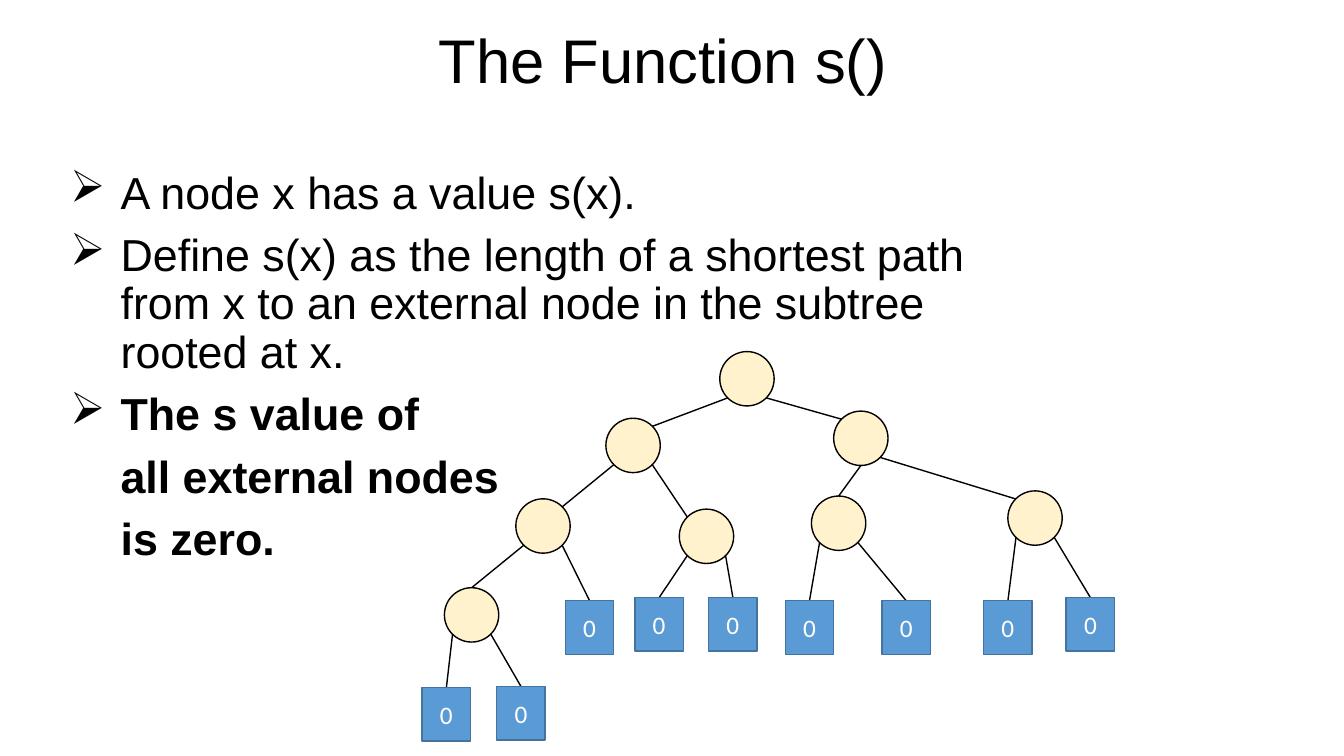
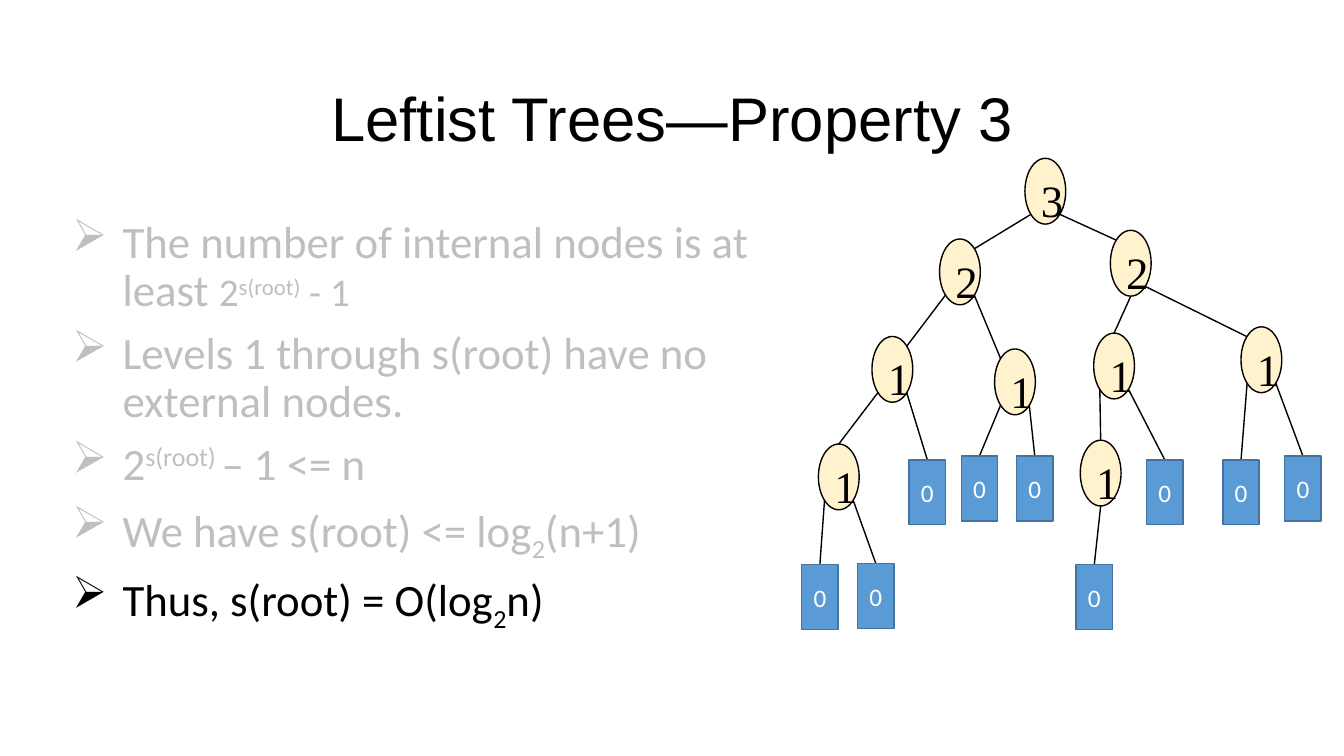
from dataclasses import dataclass

from lxml import etree
from pptx import Presentation
from pptx.dml.color import RGBColor
from pptx.enum.shapes import MSO_CONNECTOR, MSO_SHAPE
from pptx.enum.text import MSO_ANCHOR, PP_ALIGN
from pptx.oxml.ns import qn
from pptx.util import Cm, Pt

BLACK = RGBColor(0x00, 0x00, 0x00)
WHITE = RGBColor(0xFF, 0xFF, 0xFF)
GRAY = RGBColor(0xBF, 0xBF, 0xBF)
CREAM = RGBColor(0xFF, 0xF2, 0xCC)
BLUE = RGBColor(0x5B, 0x9B, 0xD5)
NAVY = RGBColor(0x43, 0x73, 0x9E)

OVAL, RECT = MSO_SHAPE.OVAL, MSO_SHAPE.RECTANGLE
STRAIGHT = MSO_CONNECTOR.STRAIGHT
TOP, MIDDLE = MSO_ANCHOR.TOP, MSO_ANCHOR.MIDDLE
LEFT, CENTER = PP_ALIGN.LEFT, PP_ALIGN.CENTER

INDENT = Cm(1.27)
SUP, SUB = 30, -25
BALL = (1.37, 1.37)
BOX = (1.22, 1.35)
DIAG = 0.35  # reach of a 45 degree point, as a share of the width


@dataclass
class Node:
    """A tree node; x and y are cm from the root, before scaling."""
    x: float
    y: float
    kids: tuple = ()
    low: bool = False  # edge leaves the parent at its bottom centre
    top: bool = False  # edge enters this node at its top centre

    @property
    def size(self):
        return BALL if self.kids else BOX

    @property
    def mid(self):
        return self.x + self.size[0] / 2

    @property
    def value(self):
        """Length of a shortest path to an external node."""
        return 1 + min(kid.value for kid in self.kids) if self.kids else 0


@dataclass
class View:
    """Where the root stands and how far the tree is stretched."""
    left: float
    top: float
    wide: float = 1
    high: float = 1

    def spot(self, x, y):
        return Cm(self.left + x * self.wide), Cm(self.top + y * self.high)

    def span(self, size):
        return Cm(size[0] * self.wide), Cm(size[1] * self.high)


def make_tree(inner):
    """Build the tree; inner is the left child of the third level-3 node."""
    deep = Node(-6.94, 5.95, (Node(-7.5, 8.46), Node(-5.62, 8.44)), top=True)
    left = Node(-2.87, 1.68, (
        Node(-5.14, 3.71, (deep, Node(-3.89, 6.28))),
        Node(-1.02, 3.97, (Node(-2.14, 6.2), Node(-0.28, 6.2)))))
    right = Node(2.87, 1.5, (
        Node(2.31, 3.64, (inner, Node(4.09, 6.28)), low=True, top=True),
        Node(7.26, 3.51, (Node(6.65, 6.28), Node(8.73, 6.2)))))
    return Node(0, 0, (left, right))


def set_font(part, name, size, color, bold=None):
    font = part.font
    font.name, font.size, font.bold = name, Pt(size), bold
    font.color.rgb = color


# Text
def add_frame(slide, left, top, wide, high):
    box = slide.shapes.add_textbox(Cm(left), Cm(top), Cm(wide), Cm(high))
    box.text_frame.word_wrap = True
    return box.text_frame


def add_title(slide, text, left, top):
    frame = add_frame(slide, left, top, 21.59, 3.18)
    frame.vertical_anchor = MIDDLE
    para = frame.paragraphs[0]
    para.text, para.alignment, para.line_spacing = text, CENTER, 0.9
    set_font(para, "Arial", 44, BLACK)


def set_bullet(para, shown):
    props = para._p.get_or_add_pPr()
    props.set("marL", str(INDENT))
    props.set("indent", str(-INDENT if shown else 0))
    if shown:
        mark = etree.Element(qn("a:buChar"), char="➢")
    else:
        mark = etree.Element(qn("a:buNone"))
    props.insert_element_before(mark, "a:tabLst", "a:defRPr", "a:extLst")


def add_item(frame, runs, name, color=BLACK, bold=None, bullet=True):
    """Add a paragraph; each run is (text, baseline shift, own size)."""
    para = frame.paragraphs[0]
    if para.runs:
        para = frame.add_paragraph()
    para.line_spacing, para.space_before = 0.9, Pt(10)
    set_font(para, name, 32, color, bold)
    set_bullet(para, bullet)
    for text, shift, size in runs:
        run = para.add_run()
        run.text = text
        if size:
            run.font.size = Pt(size)
        if shift:
            run._r.get_or_add_rPr().set("baseline", str(shift * 1000))


# Tree
def add_node(slide, node, view, label):
    shape = slide.shapes.add_shape(
        OVAL if node.kids else RECT,
        *view.spot(node.x, node.y), *view.span(node.size))
    shape.shadow.inherit = False
    shape.fill.solid()
    shape.fill.fore_color.rgb = CREAM if node.kids else BLUE
    shape.line.color.rgb = BLACK if node.kids else NAVY
    shape.line.width = Pt(1)
    if node.kids and not label:
        return
    frame = shape.text_frame
    frame.vertical_anchor = TOP if node.kids else MIDDLE
    para = frame.paragraphs[0]
    para.text = str(node.value)
    para.alignment = LEFT if node.kids else CENTER
    if node.kids:
        set_font(para, "Times New Roman", 32, BLACK)
    else:
        set_font(para, "Calibri", 18, WHITE)


def add_edge(slide, node, kid, view):
    side = 1 if kid.mid > node.mid else -1
    wide, high = BALL
    if kid.low:
        start = node.mid, node.y + high
    else:
        start = node.mid + side * DIAG * wide, node.y + (0.5 + DIAG) * high
    if kid.top or not kid.kids:
        end = kid.mid, kid.y
    else:
        end = kid.mid - side * DIAG * wide, kid.y + (0.5 - DIAG) * high
    line = slide.shapes.add_connector(
        STRAIGHT, *view.spot(*start), *view.spot(*end))
    line.line.color.rgb = BLACK
    line.line.width = Pt(1)
    etree.SubElement(line._element.spPr, qn("a:effectLst"))


def add_tree(slide, node, view, label=False):
    add_node(slide, node, view, label)
    for kid in node.kids:
        add_edge(slide, node, kid, view)
        add_tree(slide, kid, view, label)


# Slides
def add_function(slide):
    add_title(slide, "The Function s()", 5.92, 0)
    frame = add_frame(slide, 1.52, 4.17, 23.93, 11.86)
    items = [
        ("A node x has a value s(x).", None, True),
        ("Define s(x) as the length of a shortest path from x to an "
         "external node in the subtree rooted at x.", None, True),
        ("The s value of", True, True),
        ("all external nodes", True, False),
        ("is zero.", True, False),
    ]
    for text, bold, bullet in items:
        add_item(frame, [(text, 0, None)], "Arial", BLACK, bold, bullet)
    add_tree(slide, make_tree(Node(1.65, 6.28)), View(18.14, 8.86))


def add_property(slide):
    add_title(slide, "Leftist Trees—Property 3", 6.15, 1.47)
    frame = add_frame(slide, 1.57, 5.41, 17.73, 11.86)
    items = [
        [("The number of internal nodes is at least ", 0, None),
         ("2", 0, 28), ("s(root)", SUP, 28), (" - 1", 0, 28)],
        [("Levels 1 through s(root) have no external nodes.", 0, None)],
        [("2", 0, None), ("s(root) ", SUP, None), ("– 1 <= n", 0, None)],
        [("We have s(root) <= log", 0, None), ("2", SUB, None),
         ("(n+1)", 0, None)],
        [("Thus, s(root) = O(log", 0, None), ("2", SUB, None),
         ("n)", 0, None)],
    ]
    for runs in items:
        color = BLACK if runs is items[-1] else GRAY
        add_item(frame, runs, "Calibri", color)
    inner = Node(1.86, 5.87, (Node(1.72, 8.46, low=True),), top=True)
    add_tree(slide, make_tree(inner), View(25.83, 3.99, 0.75, 1.21), True)


def main():
    deck = Presentation()
    deck.slide_width, deck.slide_height = Cm(33.87), Cm(19.05)
    blank = deck.slide_layouts[6]
    for fill in (add_function, add_property):
        fill(deck.slides.add_slide(blank))
    deck.save("out.pptx")


main()
